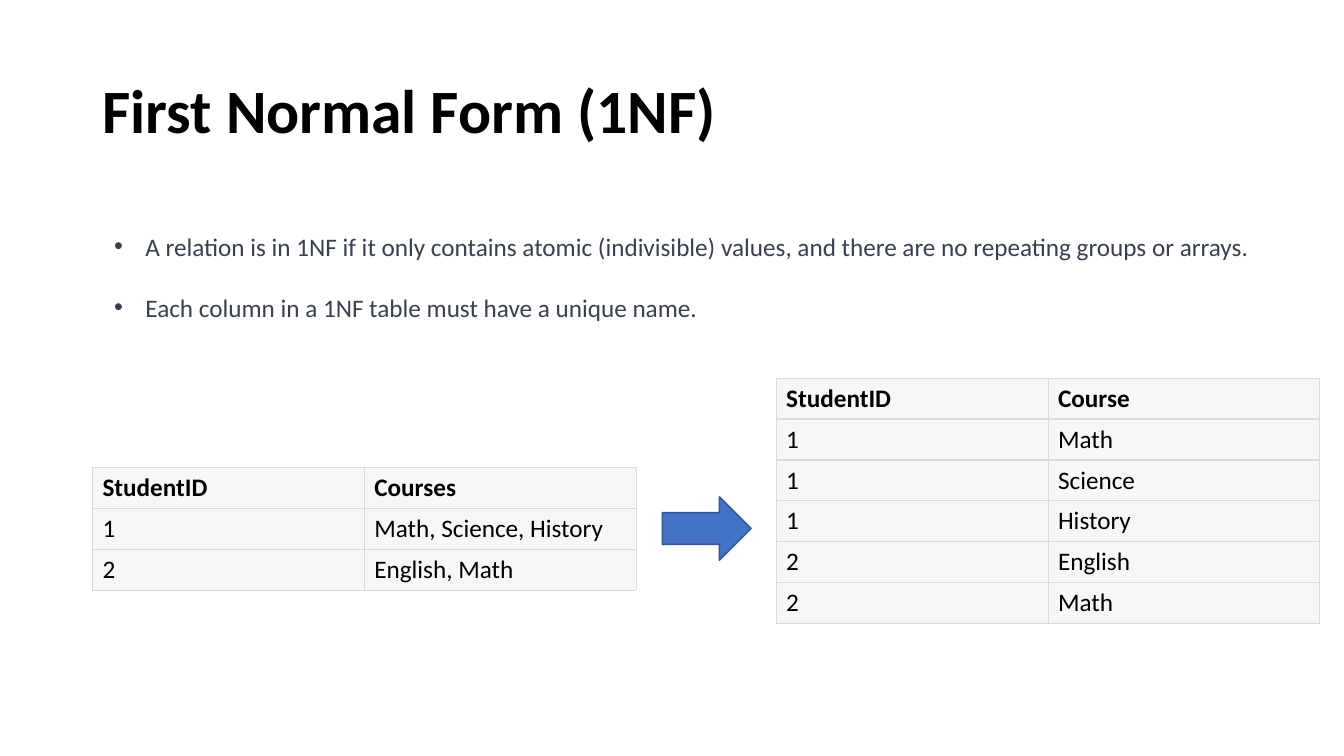
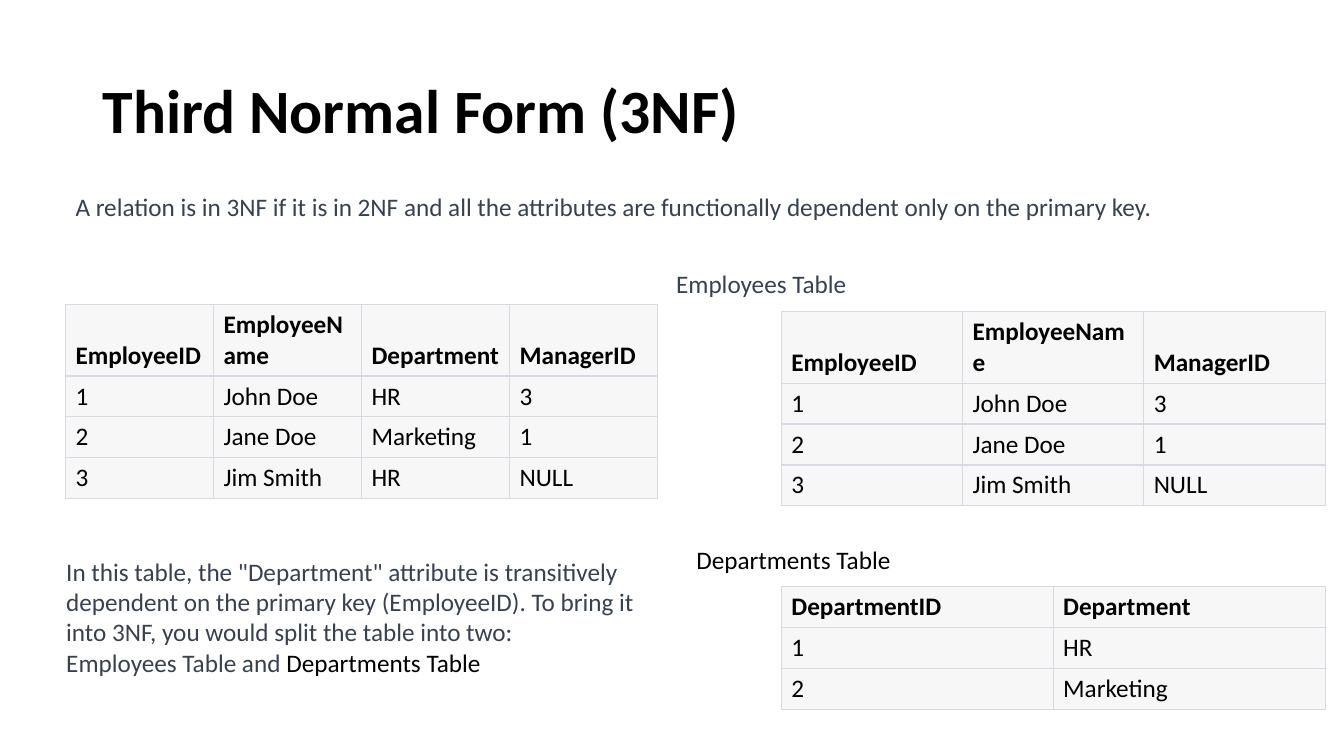
import pptx
import pptx.util
import pptx.dml.color
import pptx.enum.shapes
import pptx.enum.text
import pptx.oxml.ns
import lxml.etree

Cm, Pt = pptx.util.Cm, pptx.util.Pt
Anchor = pptx.enum.text.MSO_ANCHOR
Align = pptx.enum.text.PP_ALIGN

BLACK, SLATE, PALE, RULE = "000000", "374151", "F7F7F8", "D9D9E3"
BLUE, NAVY = "4472C4", "325491"
FACE = "Calibri"
TITLE = (2.33, 1.01, 29.21, 3.68)
ROW, TALL = 1.02, 1.78
STEP = 22

SLIDES = [
    {
        "title": "First Normal Form (1NF)",
        "body": {
            "at": (2.62, 5.69, 30.1, 2.57),
            "bullet": True,
            "paras": [
                [("A relation is in 1NF if it only contains atomic (indivisible) values, "
                  "and there are no repeating groups or arrays.", SLATE)],
                [("Each column in a 1NF table must have a unique name.", SLATE)],
            ],
        },
        "tables": [
            {"at": (2.33, 11.78, 13.7), "head": ROW, "rows": [
                ("StudentID", "Courses"),
                ("1", "Math, Science, History"),
                ("2", "English, Math")]},
            {"at": (19.56, 9.53, 13.7), "head": ROW, "rows": [
                ("StudentID", "Course"),
                ("1", "Math"),
                ("1", "Science"),
                ("1", "History"),
                ("2", "English"),
                ("2", "Math")]},
        ],
        "arrows": [(16.69, 12.52, 2.24, 1.6)],
        "notes": [],
    },
    {
        "title": "Third Normal Form (3NF)",
        "body": {
            "at": (1.65, 4.7, 30.28, 1.02),
            "bullet": False,
            "paras": [
                [("A relation is in 3NF if it is in 2NF and all the attributes are "
                  "functionally dependent only on the primary key.", SLATE)],
            ],
        },
        "tables": [
            {"at": (1.65, 7.67, 14.92), "head": TALL, "rows": [
                ("EmployeeID", "EmployeeName", "Department", "ManagerID"),
                ("1", "John Doe", "HR", "3"),
                ("2", "Jane Doe", "Marketing", "1"),
                ("3", "Jim Smith", "HR", "NULL")]},
            {"at": (19.69, 7.85, 13.7), "head": TALL, "rows": [
                ("EmployeeID", "EmployeeName", "ManagerID"),
                ("1", "John Doe", "3"),
                ("2", "Jane Doe", "1"),
                ("3", "Jim Smith", "NULL")]},
            {"at": (19.69, 14.78, 13.7), "head": ROW, "rows": [
                ("DepartmentID", "Department"),
                ("1", "HR"),
                ("2", "Marketing")]},
        ],
        "arrows": [],
        "notes": [
            {"at": (1.42, 13.89, 15.52, 3.33), "paras": [
                [('In this table, the "Department" attribute is transitively dependent '
                  "on the primary key (EmployeeID). To bring it into 3NF, you would "
                  "split the table into two:", SLATE)],
                [("Employees Table and ", SLATE), ("Departments Table", BLACK)]]},
            {"at": (16.79, 6.63, 5.1, 1.02), "paras": [[("Employees Table", SLATE)]]},
            {"at": (17.3, 13.59, 5.6, 1.02), "paras": [[("Departments Table", BLACK)]]},
        ],
    },
]


def paint(hue):
    return pptx.dml.color.RGBColor.from_string(hue)


def apply(part, vals):
    for key, val in vals.items():
        setattr(part, key, val)


def place(shape, spot):
    apply(shape, dict(zip(("left", "top", "width", "height"), map(Cm, spot))))


def write(frame, paras, size=18, bold=False, gap=0, lead=1.0):
    for i, runs in enumerate(paras):
        para = frame.add_paragraph() if i else frame.paragraphs[0]
        apply(para, {"alignment": Align.LEFT, "line_spacing": lead,
                     "space_before": Pt(gap if i else 0), "space_after": Pt(0)})
        for text, hue in runs:
            run = para.add_run()
            run.text = text
            apply(run.font, {"name": FACE, "size": Pt(size), "bold": bold})
            run.font.color.rgb = paint(hue)


def fit(frame, anchor=Anchor.TOP):
    apply(frame, {"word_wrap": True, "vertical_anchor": anchor,
                  "auto_size": pptx.enum.text.MSO_AUTO_SIZE.NONE})


def mark(para, bullet):
    props = para._p.get_or_add_pPr()
    inset = Cm(0.79) if bullet else 0
    props.set("marL", str(inset))
    props.set("indent", str(-inset))
    if bullet:
        font = lxml.etree.SubElement(props, pptx.oxml.ns.qn("a:buFont"))
        font.set("typeface", "Arial")
        sign = lxml.etree.SubElement(props, pptx.oxml.ns.qn("a:buChar"))
        sign.set("char", "•")
    else:
        lxml.etree.SubElement(props, pptx.oxml.ns.qn("a:buNone"))


def edge(cell, sides):
    props = cell._tc.get_or_add_tcPr()
    for i, (side, wide) in enumerate(sides.items()):
        line = lxml.etree.Element(pptx.oxml.ns.qn("a:ln" + side), w=str(Pt(wide)))
        fill = lxml.etree.SubElement(line, pptx.oxml.ns.qn("a:solidFill"))
        lxml.etree.SubElement(fill, pptx.oxml.ns.qn("a:srgbClr"), val=RULE)
        props.insert(i, line)


def add_grid(slide, data):
    rows = data["rows"]
    left, top, width = data["at"]
    count, last = len(rows[0]), len(rows) - 1
    high = data["head"] + ROW * last
    grid = slide.shapes.add_table(
        len(rows), count, Cm(left), Cm(top), Cm(width), Cm(high)).table
    for col in grid.columns:
        col.width = Cm(width / count)
    for r, row in enumerate(rows):
        grid.rows[r].height = Cm(ROW if r else data["head"])
        for c, text in enumerate(row):
            cell = grid.cell(r, c)
            cell.vertical_anchor = Anchor.MIDDLE if r else Anchor.BOTTOM
            cell.fill.solid()
            cell.fill.fore_color.rgb = paint(PALE)
            edge(cell, {"L": 0.6, "R": 0.6, "T": 1 if r else 0.6,
                        "B": 1 if r < last else 0.6})
            write(cell.text_frame, [[(text, BLACK)]], bold=not r)


def add_arrow(slide, spot):
    arrow = slide.shapes.add_shape(
        pptx.enum.shapes.MSO_SHAPE.RIGHT_ARROW, *map(Cm, spot))
    arrow.shadow.inherit = False
    arrow.fill.solid()
    arrow.fill.fore_color.rgb = paint(BLUE)
    arrow.line.color.rgb = paint(NAVY)
    arrow.line.width = Pt(1)


def add_note(slide, note):
    frame = slide.shapes.add_textbox(*map(Cm, note["at"])).text_frame
    fit(frame)
    write(frame, note["paras"])


def build(deck, page):
    slide = deck.slides.add_slide(deck.slide_layouts[1])
    title, body = slide.shapes.title, slide.placeholders[1]
    place(title, TITLE)
    fit(title.text_frame, Anchor.MIDDLE)
    write(title.text_frame, [[(page["title"], BLACK)]], size=44, bold=True, lead=0.9)
    place(body, page["body"]["at"])
    fit(body.text_frame)
    write(body.text_frame, page["body"]["paras"], gap=STEP)
    for para in body.text_frame.paragraphs:
        mark(para, page["body"]["bullet"])
    for key, draw in (("tables", add_grid), ("arrows", add_arrow), ("notes", add_note)):
        for item in page[key]:
            draw(slide, item)


def main():
    deck = pptx.Presentation()
    apply(deck, {"slide_width": Cm(33.87), "slide_height": Cm(19.05)})
    for page in SLIDES:
        build(deck, page)
    deck.save("out.pptx")


if __name__ == "__main__":
    main()
